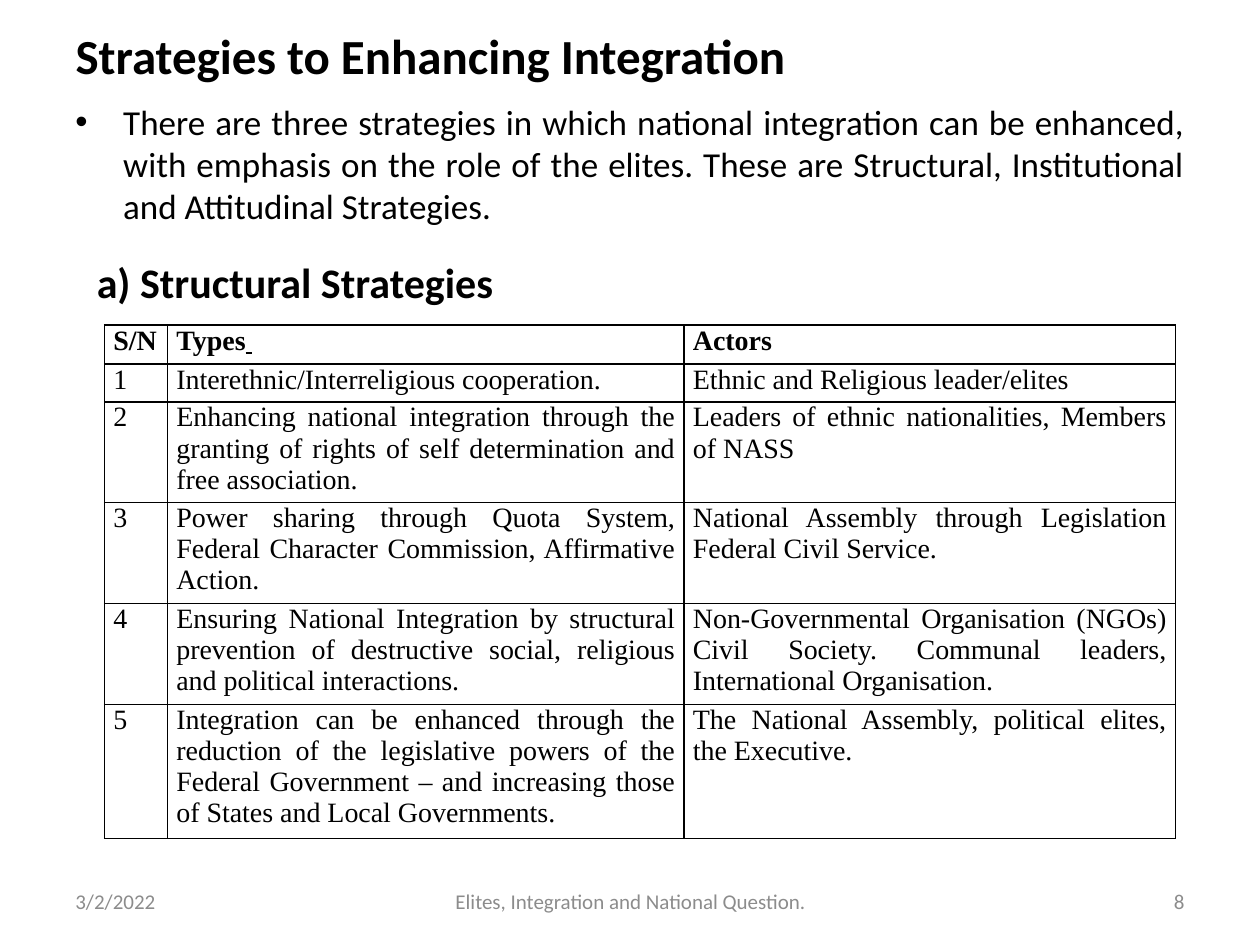
from pptx import Presentation
from pptx.dml.color import RGBColor
from pptx.enum.text import MSO_ANCHOR, PP_ALIGN
from pptx.oxml import parse_xml
from pptx.oxml.ns import nsdecls
from pptx.util import Inches, Pt
from lxml.etree import SubElement
from pptx.oxml.ns import qn

THEME = {
    "title": {"size": Pt(28), "name": "Calibri", "bold": True, "color": "000000"},
    "body": {"size": Pt(20), "name": "Calibri", "bold": False, "color": "000000"},
    "heading": {"size": Pt(24), "name": "Calibri", "bold": True, "color": "000000"},
    "footer": {"size": Pt(12), "name": "Calibri", "bold": False, "color": "8C8C8C"},
    "head_cell": {"size": Pt(16), "name": "Times New Roman", "bold": True, "color": "000000"},
    "cell": {"size": Pt(16), "name": "Times New Roman", "bold": False, "color": "000000"},
    "border": "000000",
}


def add_run(p, text, style, align):
    p.alignment = align
    r = p.add_run()
    r.text = text
    for key, value in THEME[style].items():
        if key == "color":
            r.font.color.rgb = RGBColor.from_string(value)
        else:
            setattr(r.font, key, value)
    return r


def add_text(s, box, text, style, align, anchor=MSO_ANCHOR.MIDDLE):
    tf = s.shapes.add_textbox(*map(Inches, box)).text_frame
    tf.word_wrap = True
    tf.vertical_anchor = anchor
    add_run(tf.paragraphs[0], text, style, align)
    return tf.paragraphs[0]


prs = Presentation()
prs.slide_width, prs.slide_height = Inches(10), Inches(7.5)
s = prs.slides.add_slide(prs.slide_layouts[5])

title = s.shapes.title
for key, value in zip(("left", "top", "width", "height"), (0.5, 0.17, 9, 0.53)):
    setattr(title, key, Inches(value))
title.text_frame.vertical_anchor = MSO_ANCHOR.MIDDLE
add_run(title.text_frame.paragraphs[0], "Strategies to Enhancing Integration", "title", PP_ALIGN.LEFT)

intro = add_text(
    s, (0.5, 0.75, 9, 1.17),
    "There are three strategies in which national integration can be enhanced, "
    "with emphasis on the role of the elites. These are Structural, Institutional "
    "and Attitudinal Strategies.",
    "body", PP_ALIGN.JUSTIFY, MSO_ANCHOR.TOP)
intro.space_before = Pt(4)
pPr = intro._p.get_or_add_pPr()
pPr.set("marL", str(Inches(0.38)))
pPr.set("indent", str(-Inches(0.38)))
SubElement(pPr, qn("a:buFont")).set("typeface", "Arial")
SubElement(pPr, qn("a:buChar")).set("char", "•")

add_text(s, (0.67, 1.97, 6.33, 0.53), "a) Structural Strategies", "heading", PP_ALIGN.LEFT)

rows = [
    ("S/N", "Types", "Actors"),
    ("1", "Interethnic/Interreligious cooperation.", "Ethnic and Religious leader/elites"),
    ("2", "Enhancing national integration through the granting of rights of self "
          "determination and free association.",
     "Leaders of ethnic nationalities, Members of NASS"),
    ("3", "Power sharing through Quota System, Federal Character Commission, Affirmative Action.",
     "National Assembly through Legislation Federal Civil Service."),
    ("4", "Ensuring National Integration by structural prevention of destructive social, "
          "religious and political interactions.",
     "Non-Governmental Organisation (NGOs) Civil Society. Communal leaders, "
     "International Organisation."),
    ("5", "Integration can be enhanced through the reduction of the legislative powers of the "
          "Federal Government – and increasing those of States and Local Governments.",
     "The National Assembly, political elites, the Executive."),
]
col_widths = (0.5, 4.1, 3.9)
row_heights = (0.31, 0.3, 0.74, 0.74, 0.74, 0.99)
table = s.shapes.add_table(
    len(rows), len(col_widths), Inches(0.83), Inches(2.58),
    Inches(sum(col_widths)), Inches(sum(row_heights))).table
table.first_row = table.horz_banding = False
for col, width in zip(table.columns, col_widths):
    col.width = Inches(width)
for i, (row, height) in enumerate(zip(table.rows, row_heights)):
    row.height = Inches(height)
    for cell, text in zip(row.cells, rows[i]):
        cell.margin_left = cell.margin_right = Inches(0.07)
        cell.margin_top = cell.margin_bottom = 0
        tcPr = cell._tc.get_or_add_tcPr()
        for side in ("lnL", "lnR", "lnT", "lnB"):
            tcPr.append(parse_xml(
                f'<a:{side} {nsdecls("a")} w="{Pt(1)}"><a:solidFill>'
                f'<a:srgbClr val="{THEME["border"]}"/></a:solidFill></a:{side}>'))
        cell.fill.background()
        p = cell.text_frame.paragraphs[0]
        add_run(p, text, "cell" if i else "head_cell", PP_ALIGN.JUSTIFY)
types_head = table.cell(0, 1).text_frame.paragraphs[0]
add_run(types_head, " ", "head_cell", PP_ALIGN.JUSTIFY).font.underline = True

for left, width, text, align in (
    (0.5, 2.33, "3/2/2022", PP_ALIGN.LEFT),
    (3.42, 3.17, "Elites, Integration and National Question.", PP_ALIGN.CENTER),
    (7.17, 2.33, "8", PP_ALIGN.RIGHT),
):
    add_text(s, (left, 6.95, width, 0.4), text, "footer", align)

prs.save("out.pptx")
